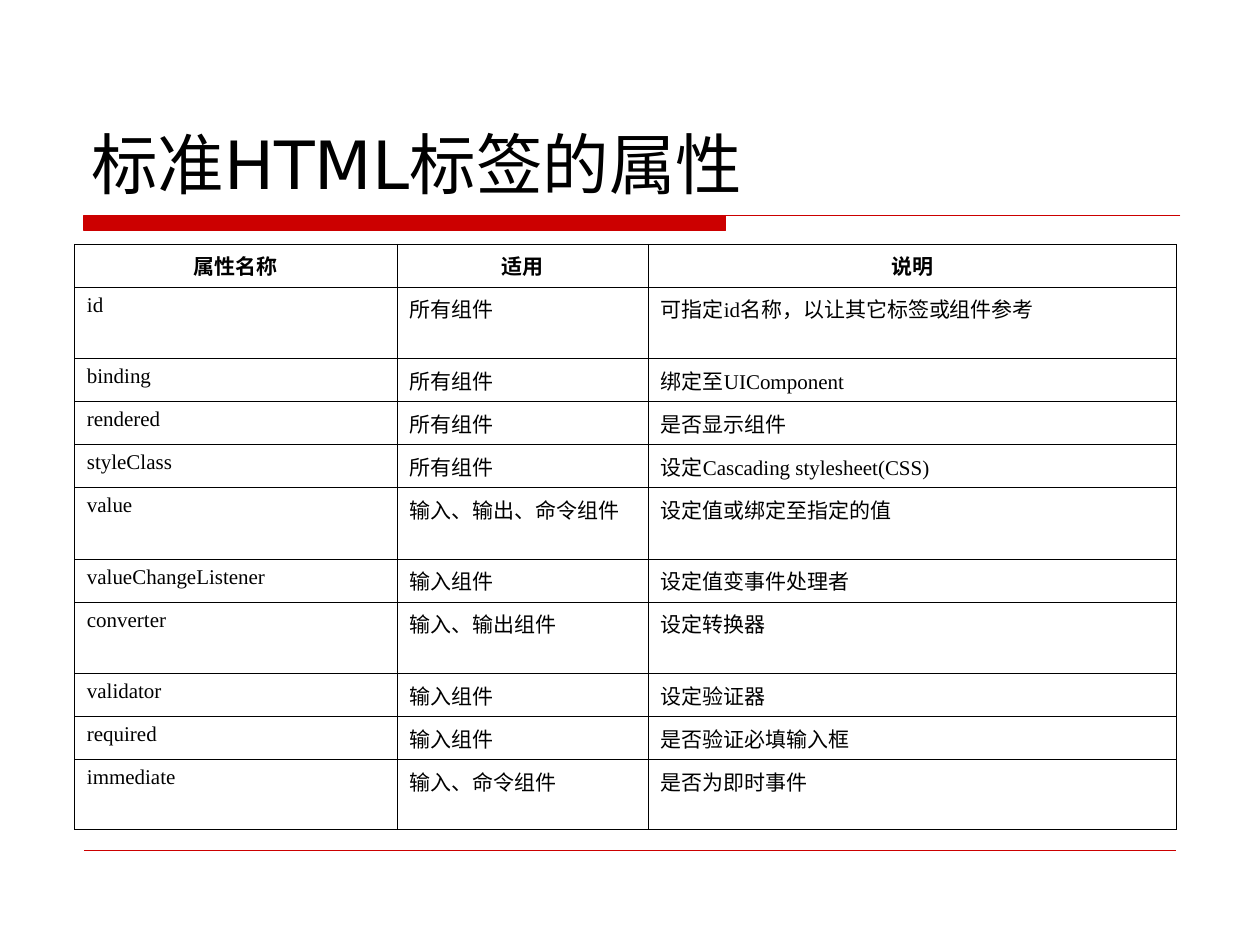
import pptx
import pptx.dml.color
import pptx.enum.shapes
import pptx.enum.text
import pptx.oxml
import pptx.oxml.ns
import pptx.util

Pt = pptx.util.Pt

COLORS = {"text": "000000", "accent": "CC0000", "border": "000000"}

TITLE = "标准HTML标签的属性"
HEADER = ("属性名称", "适用", "说明")
ATTRIBUTES = [
    ("id", "所有组件", "可指定id名称，以让其它标签或组件参考"),
    ("binding", "所有组件", "绑定至UIComponent"),
    ("rendered", "所有组件", "是否显示组件"),
    ("styleClass", "所有组件", "设定Cascading stylesheet(CSS)"),
    ("value", "输入、输出、命令组件", "设定值或绑定至指定的值"),
    ("valueChangeListener", "输入组件", "设定值变事件处理者"),
    ("converter", "输入、输出组件", "设定转换器"),
    ("validator", "输入组件", "设定验证器"),
    ("required", "输入组件", "是否验证必填输入框"),
    ("immediate", "输入、命令组件", "是否为即时事件"),
]

TITLE_FONT = {"name": "DejaVu Sans", "size": Pt(38), "bold": False}
CELL_FONT = {"name": "Times New Roman", "size": Pt(12), "bold": False}
HEADER_FONT = {**CELL_FONT, "bold": True}

COLUMN_WIDTHS = (184.5, 143.5, 302)
ROW_HEIGHT, TALL_HEIGHT, LAST_HEIGHT = 24.6, 40.9, 39.5
TALL_ROWS = {"id", "value", "converter"}


def color(name):
    return pptx.dml.color.RGBColor.from_string(COLORS[name])


def write(frame, text, font, align):
    para = frame.paragraphs[0]
    para.alignment = align
    span = para.add_run()
    span.text = text
    for key, value in font.items():
        setattr(span.font, key, value)
    span.font.color.rgb = color("text")


def add_title(page):
    box = page.shapes.add_textbox(Pt(45), Pt(24), Pt(630), Pt(95.5))
    frame = box.text_frame
    frame.word_wrap = True
    frame.vertical_anchor = pptx.enum.text.MSO_ANCHOR.BOTTOM
    write(frame, TITLE, TITLE_FONT, pptx.enum.text.PP_ALIGN.LEFT)


def add_title_rule(page):
    """Thick bar whose top edge runs on as a thin line."""
    left, bar_right, line_right = Pt(48), Pt(414.5), Pt(674.5)
    top, bottom = Pt(123.25), Pt(131.75)
    builder = page.shapes.build_freeform(left, top)
    builder.add_line_segments(
        [(bar_right, top), (bar_right, bottom), (left, bottom)], close=True)
    builder.move_to(left, top)
    builder.add_line_segments([(line_right, top)], close=False)
    rule = builder.convert_to_shape()
    rule.shadow.inherit = False
    rule.fill.solid()
    rule.fill.fore_color.rgb = color("accent")
    rule.line.color.rgb = color("accent")
    rule.line.width = Pt(0.75)


def add_footer_line(page):
    line = page.shapes.add_connector(
        pptx.enum.shapes.MSO_CONNECTOR.STRAIGHT, Pt(48), Pt(486), Pt(672), Pt(486))
    line.line.color.rgb = color("accent")
    line.line.width = Pt(0.25)
    properties = line._element.spPr
    properties.append(properties.makeelement(pptx.oxml.ns.qn("a:effectLst"), {}))


def set_borders(cell):
    properties = cell._tc.get_or_add_tcPr()
    for index, side in enumerate(("lnL", "lnR", "lnT", "lnB")):
        properties.insert(index, pptx.oxml.parse_xml(
            f'<a:{side} {pptx.oxml.ns.nsdecls("a")} w="{Pt(0.45)}"><a:solidFill>'
            f'<a:srgbClr val="{COLORS["border"]}"/></a:solidFill></a:{side}>'))


def add_attribute_table(page):
    rows = [HEADER, *ATTRIBUTES]
    heights = [TALL_HEIGHT if row[0] in TALL_ROWS else ROW_HEIGHT for row in rows]
    heights[-1] = LAST_HEIGHT
    table = page.shapes.add_table(
        len(rows), len(HEADER), Pt(42.5), Pt(139.5),
        Pt(sum(COLUMN_WIDTHS)), Pt(sum(heights))).table
    table.first_row = table.horz_banding = False
    for column, width in zip(table.columns, COLUMN_WIDTHS):
        column.width = Pt(width)
    align = pptx.enum.text.PP_ALIGN
    for number, (row, texts, height) in enumerate(zip(table.rows, rows, heights)):
        row.height = Pt(height)
        font, side = (CELL_FONT, align.LEFT) if number else (HEADER_FONT, align.CENTER)
        for cell, text in zip(row.cells, texts):
            cell.fill.background()
            set_borders(cell)
            write(cell.text_frame, text, font, side)


def main():
    deck = pptx.Presentation()
    deck.slide_width, deck.slide_height = Pt(720), Pt(540)
    page = deck.slides.add_slide(deck.slide_layouts[6])
    add_title_rule(page)
    add_footer_line(page)
    add_title(page)
    add_attribute_table(page)
    deck.save("out.pptx")


if __name__ == "__main__":
    main()
